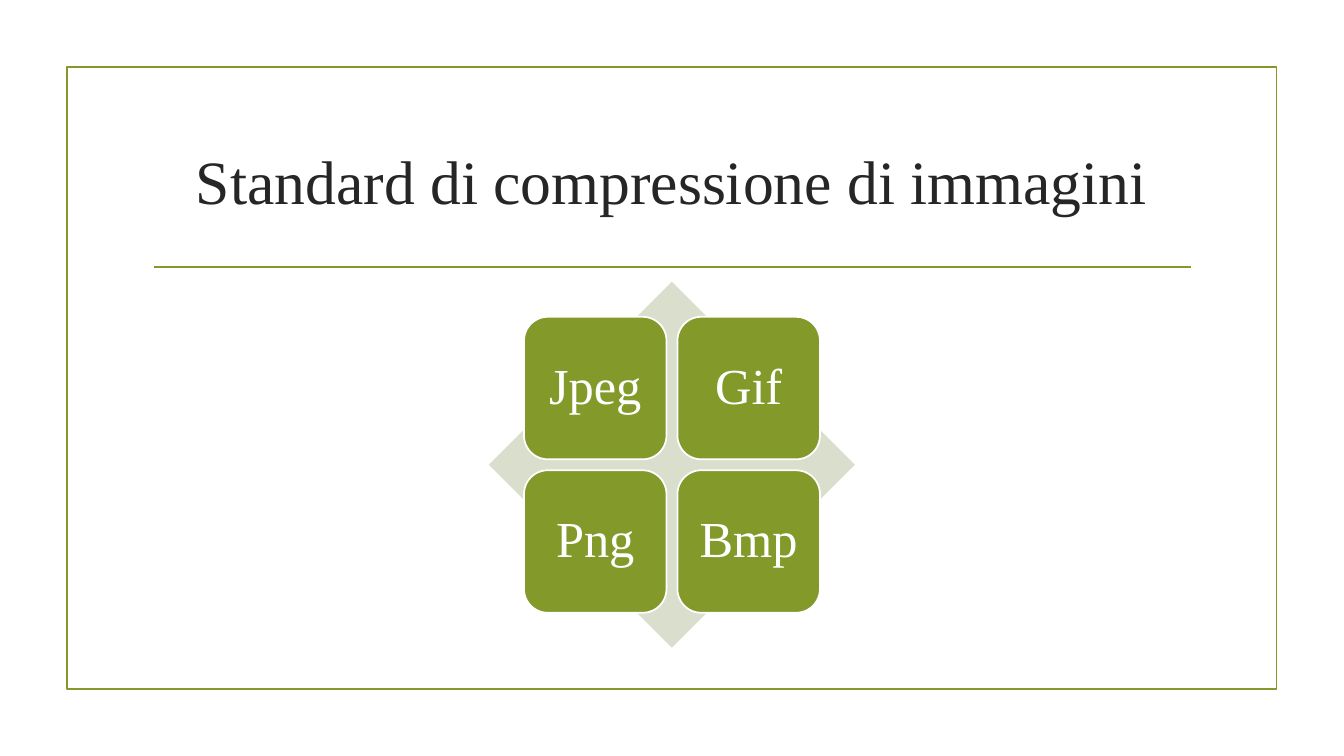
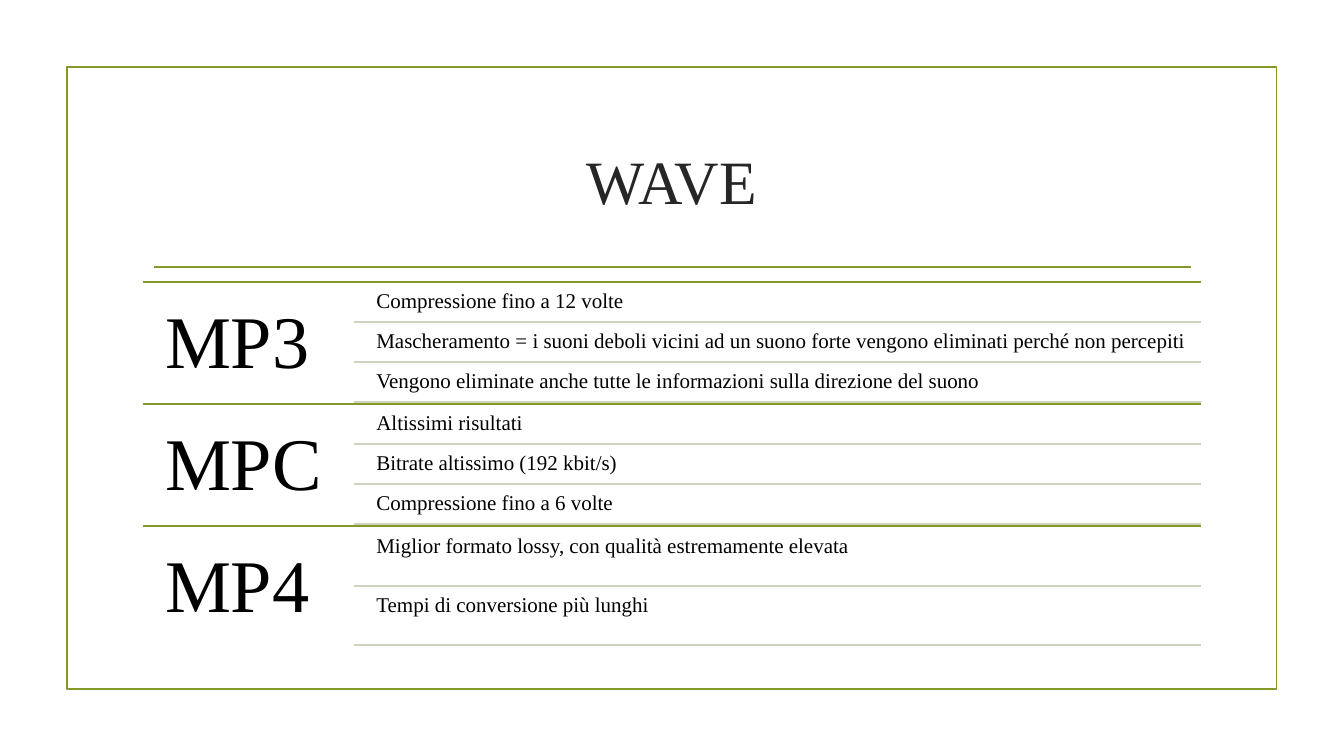
from lxml import etree
from pptx import Presentation
from pptx.dml.color import RGBColor
from pptx.enum import shapes, text
from pptx.oxml.ns import qn
from pptx.util import Pt

GREEN, PALE, DIAMOND = "83992A", "CDD4BE", "D9DECD"
WHITE, BLACK, DARK = "FFFFFF", "000000", "262626"
FONT = "Times New Roman"
LINE_WIDTH = 1.25
CENTER, LEFT = text.PP_ALIGN.CENTER, text.PP_ALIGN.LEFT
MIDDLE, TOP = text.MSO_ANCHOR.MIDDLE, text.MSO_ANCHOR.TOP
PRESET = shapes.MSO_SHAPE


def add_block(slide, box, wording="", preset=None, fill=None, line=None, size=15,
              colour=BLACK, align=LEFT, anchor=TOP, inset=0, spacing=0.9):
    """Add a preset shape, or a text box if no preset is given."""
    place = [Pt(length) for length in box]
    if preset is None:
        block = slide.shapes.add_textbox(*place)
    else:
        block = slide.shapes.add_shape(preset, *place)
        block.shadow.inherit = False
        for part, part_colour in ((block.fill, fill), (block.line.fill, line)):
            if part_colour:
                part.solid()
                part.fore_color.rgb = RGBColor.from_string(part_colour)
            else:
                part.background()
        if line:
            block.line.width = Pt(LINE_WIDTH)
    if wording:
        frame = block.text_frame
        frame.word_wrap = True
        frame.vertical_anchor = anchor
        for side in ("left", "top", "right", "bottom"):
            setattr(frame, f"margin_{side}", Pt(inset))
        paragraph = frame.paragraphs[0]
        paragraph.alignment = align
        paragraph.line_spacing = spacing
        run = paragraph.add_run()
        run.text = wording
        for name, value in {"name": FONT, "size": Pt(size)}.items():
            setattr(run.font, name, value)
        run.font.color.rgb = RGBColor.from_string(colour)


def add_rule(slide, left, right, y, colour=GREEN):
    """Add a horizontal line."""
    rule = slide.shapes.add_connector(
        shapes.MSO_CONNECTOR.STRAIGHT, Pt(left), Pt(y), Pt(right), Pt(y))
    rule.line.color.rgb = RGBColor.from_string(colour)
    rule.line.width = Pt(LINE_WIDTH)
    etree.SubElement(rule._element.spPr, qn("a:effectLst"))


deck = Presentation()
deck.slide_width, deck.slide_height = Pt(960), Pt(540)

# Shared frame, title and title rule
slides = []
for title in ("Standard di compressione di immagini", "WAVE"):
    slide = deck.slides.add_slide(deck.slide_layouts[6])
    add_block(slide, (47.8, 48, 864, 444), preset=PRESET.RECTANGLE, line=GREEN)
    add_rule(slide, 110, 850.5, 190.8)
    add_block(slide, (102, 77, 756, 103), title, size=44, colour=DARK,
              align=CENTER, anchor=MIDDLE, inset=3.6, spacing=1)
    slides.append(slide)
image_slide, audio_slide = slides

# Image formats: four tiles on a diamond
center_x, center_y = 480, 332
diamond, tile, gap = 261.4, 101.8, 7.8
add_block(image_slide, (center_x - diamond / 2, center_y - diamond / 2, diamond, diamond),
          preset=PRESET.DIAMOND, fill=DIAMOND)
for index, image_format in enumerate(("Jpeg", "Gif", "Png", "Bmp")):
    row, column = divmod(index, 2)
    left = center_x - gap / 2 - tile + column * (tile + gap)
    top = center_y - gap / 2 - tile + row * (tile + gap)
    add_block(image_slide, (left, top, tile, tile), image_format,
              PRESET.ROUNDED_RECTANGLE, GREEN, WHITE, size=36, colour=WHITE,
              align=CENTER, anchor=MIDDLE, inset=8)

# Audio formats: equal bands, each shared out among its features
audio_formats = {
    "MP3": (
        "Compressione fino a 12 volte",
        "Mascheramento = i suoni deboli vicini ad un suono forte vengono eliminati"
        " perché non percepiti",
        "Vengono eliminate anche tutte le informazioni sulla direzione del suono",
    ),
    "MPC": (
        "Altissimi risultati",
        "Bitrate altissimo (192 kbit/s)",
        "Compressione fino a 6 volte",
    ),
    "MP4": (
        "Miglior formato lossy, con qualità estremamente elevata",
        "Tempi di conversione più lunghi",
    ),
}
list_left, list_right, list_top = 102, 858, 201.6
band_height, name_width, indent = 87.1, 151.2, 11.3
features_left = list_left + name_width
gap_share = 0.05  # gap above each feature, as a share of its height

for band, (audio_format, features) in enumerate(audio_formats.items()):
    band_top = list_top + band * band_height
    add_rule(audio_slide, list_left, list_right, band_top)
    add_block(audio_slide, (list_left, band_top, name_width, band_height),
              audio_format, size=53, inset=15.9)
    count = len(features)
    height = band_height / (count + (count + 1) * gap_share)
    for index, feature in enumerate(features):
        top = band_top + height * (gap_share + index * (1 + gap_share))
        left = features_left + indent
        add_block(audio_slide, (left, top, list_right - left, height), feature, inset=4.3)
        add_rule(audio_slide, features_left, list_right, top + height, PALE)

deck.save("out.pptx")
